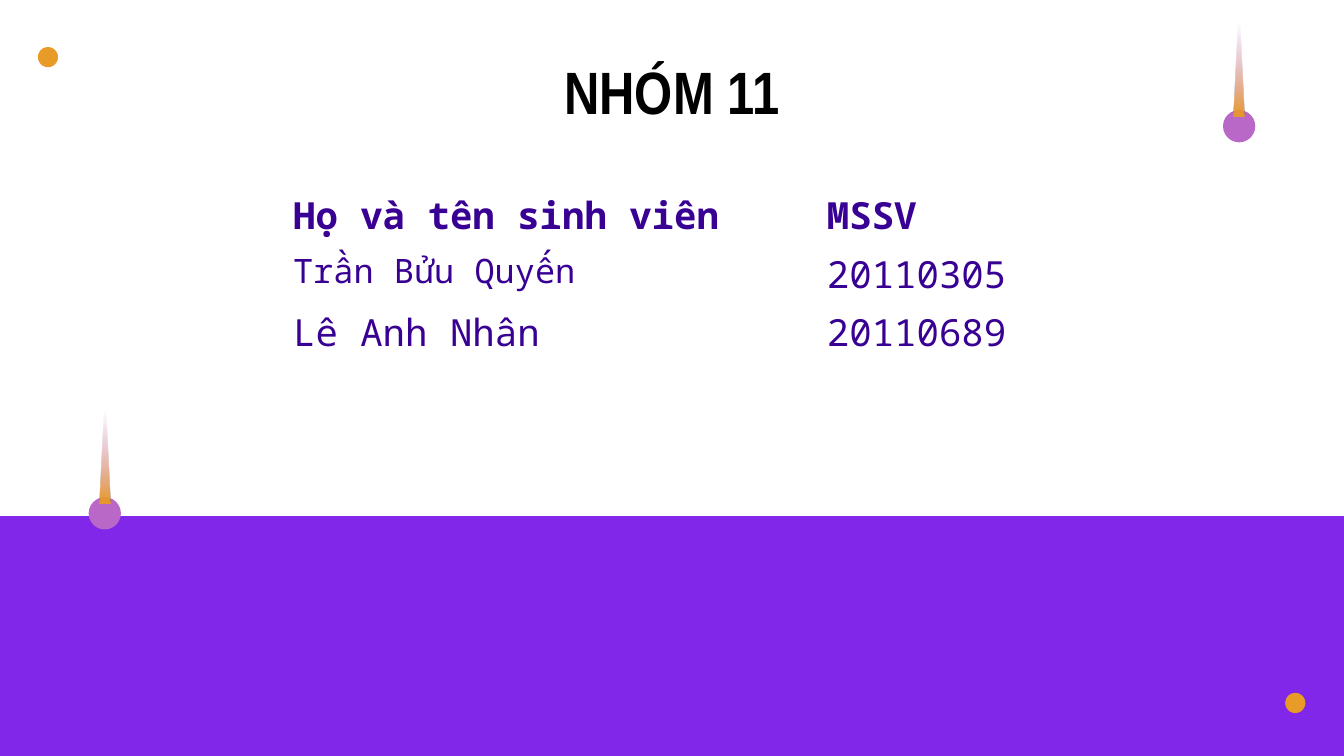
from pptx import Presentation
from pptx.dml.color import RGBColor
from pptx.enum.shapes import MSO_SHAPE
from pptx.enum.text import MSO_ANCHOR, PP_ALIGN
from pptx.oxml import parse_xml
from pptx.oxml.ns import nsdecls
from pptx.util import Pt

PURPLE = RGBColor(0x80, 0x27, 0xEA)
ORANGE = RGBColor(0xE9, 0x9B, 0x27)
ORCHID = RGBColor(0xBA, 0x68, 0xC8)
INDIGO = RGBColor(0x38, 0x00, 0x93)
BLACK = RGBColor(0, 0, 0)
WIDTH, HEIGHT = 720, 405
ROWS = [
    ("Họ và tên sinh viên", "MSSV"),
    ("Trần Bửu Quyến", "20110305"),
    ("Lê Anh Nhân", "20110689"),
]


def add_shape(s, kind, x, y, w, h, color=None):
    sp = s.shapes.add_shape(kind, Pt(x), Pt(y), Pt(w), Pt(h))
    sp.shadow.inherit = False
    sp.line.fill.background()
    if color is not None:
        sp.fill.solid()
        sp.fill.fore_color.rgb = color
    return sp


def add_fade(sp):
    stops = f'<a:gs pos="0"><a:srgbClr val="{ORANGE}"/></a:gs>'
    for pos in (80000, 100000):
        stops += (f'<a:gs pos="{pos}"><a:srgbClr val="{ORCHID}">'
                  '<a:alpha val="0"/></a:srgbClr></a:gs>')
    fill = parse_xml(f'<a:gradFill {nsdecls("a")}><a:gsLst>{stops}</a:gsLst>'
                     '<a:lin ang="16200000" scaled="0"/></a:gradFill>')
    sp._element.spPr.insert(2, fill)


def add_comet(s, x, y, w, h):
    add_shape(s, MSO_SHAPE.OVAL, x, y + h - w, w, w, ORCHID)
    tail_w = w / 3
    tail = add_shape(s, MSO_SHAPE.ISOSCELES_TRIANGLE,
                     x + (w - tail_w) / 2, y, tail_w, h - 0.8 * w)
    add_fade(tail)


def add_backdrop(s, x, y, w, h):
    band_h = 128
    band = add_shape(s, MSO_SHAPE.RECTANGLE, x, y + h - band_h, w, band_h, PURPLE)
    band.line.color.rgb = PURPLE
    band.line.width = Pt(0.75)
    dot = 10.8
    for dx, dy in ((688.5, 371.2), (20.3, 25.2)):
        add_shape(s, MSO_SHAPE.OVAL, x + dx, y + dy, dot, dot, ORANGE)
    for dx, dy in ((655.2, 0), (47.5, 207.4)):
        add_comet(s, x + dx, y + dy, 17.3, 76.3)


def format_run(r, font, size, color, bold):
    r.font.name = font
    r.font.size = Pt(size)
    r.font.color.rgb = color
    r.font.bold = bold


def add_title(s, x, y, w, h):
    tf = s.shapes.add_textbox(Pt(x), Pt(y), Pt(w), Pt(h)).text_frame
    tf.word_wrap = True
    tf.vertical_anchor = MSO_ANCHOR.MIDDLE
    tf.margin_left = tf.margin_right = tf.margin_top = tf.margin_bottom = Pt(7.2)
    p = tf.paragraphs[0]
    p.text = "NHÓM 11"
    p.alignment = PP_ALIGN.CENTER
    format_run(p.runs[0], "Arial Narrow", 32, BLACK, True)


def add_members(s, x, y, w, h):
    row_h, name_w = 29.5, 286
    n = len(ROWS)
    table = s.shapes.add_table(n + 1, 2, Pt(x), Pt(y), Pt(w), Pt(h)).table
    table.first_row = table.horz_banding = False
    table.columns[0].width = Pt(name_w)
    table.columns[1].width = Pt(w - name_w)
    for i in range(n):
        table.rows[i].height = Pt(row_h)
    table.rows[n].height = Pt(h - n * row_h)
    for cell in table.iter_cells():
        cell.fill.background()
    for i, row in enumerate(ROWS):
        for j, text in enumerate(row):
            p = table.cell(i, j).text_frame.paragraphs[0]
            p.text = text
            size = 18 if (i, j) == (1, 0) else 20
            format_run(p.runs[0], "Noto Sans Mono", size, INDIGO, i == 0)


def main():
    prs = Presentation()
    prs.slide_width, prs.slide_height = Pt(WIDTH), Pt(HEIGHT)
    s = prs.slides.add_slide(prs.slide_layouts[6])
    add_backdrop(s, 0, 0, WIDTH, HEIGHT)
    add_title(s, 211.7, 36, 296.6, 25.2)
    add_members(s, 149.8, 98, 401, 139)
    prs.save("out.pptx")


if __name__ == "__main__":
    main()
